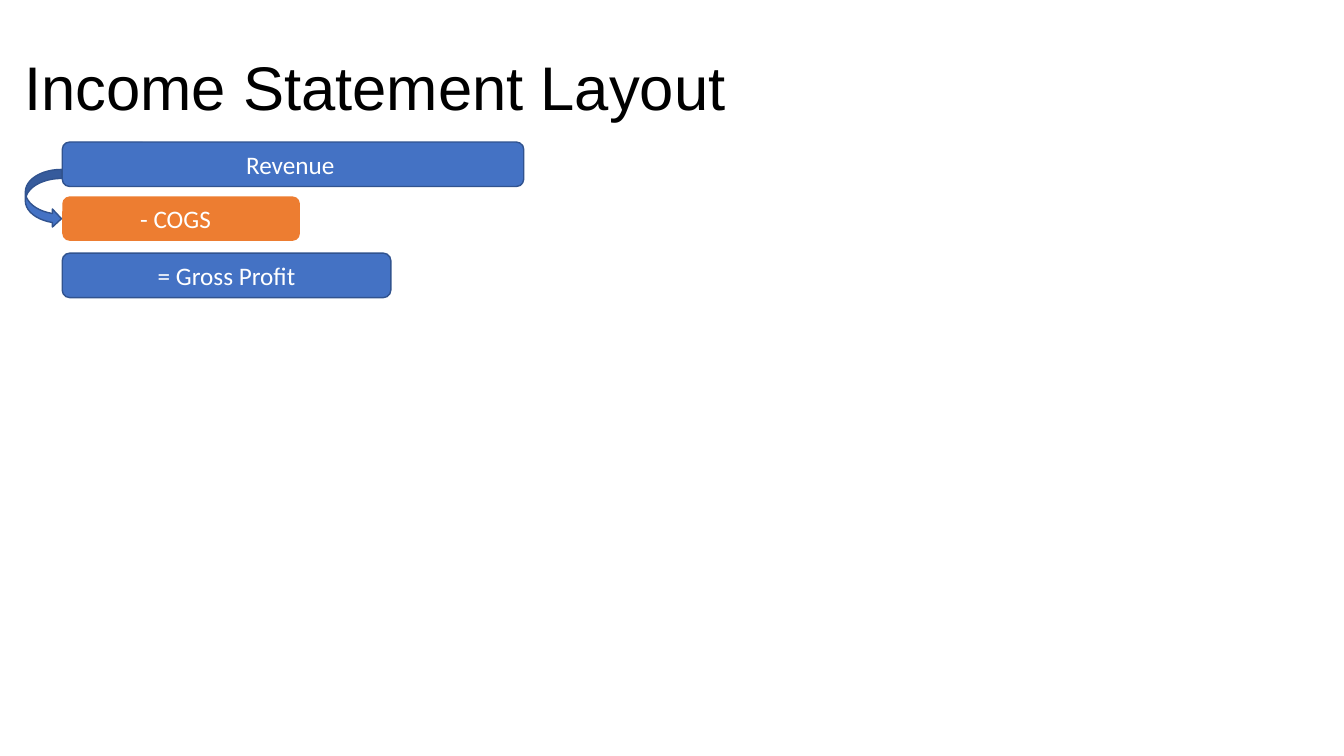
from pptx import Presentation
from pptx.dml.color import RGBColor
from pptx.enum.shapes import MSO_SHAPE
from pptx.enum.text import MSO_ANCHOR, PP_ALIGN
from pptx.util import Cm, Pt

ROUNDED = MSO_SHAPE.ROUNDED_RECTANGLE
CURVED_ARROW = MSO_SHAPE.CURVED_RIGHT_ARROW
MIDDLE = MSO_ANCHOR.MIDDLE
LEFT, CENTER = PP_ALIGN.LEFT, PP_ALIGN.CENTER

THEME = {
    "blue": RGBColor(0x44, 0x72, 0xC4),
    "orange": RGBColor(0xED, 0x7D, 0x31),
    "outline": RGBColor(0x31, 0x53, 0x8F),
    "title": {"name": "Arial", "size": Pt(44), "color": RGBColor(0, 0, 0)},
    "label": {"name": "Calibri", "size": Pt(18), "color": RGBColor(255, 255, 255)},
}


def write(sp, text, style, align, pad=0):
    tf = sp.text_frame
    frame = {
        "word_wrap": True,
        "vertical_anchor": MIDDLE,
        "margin_left": Cm(0.25),
        "margin_right": Cm(0.25 + pad),
        "margin_top": Cm(0.13),
        "margin_bottom": Cm(0.13),
    }
    for key, value in frame.items():
        setattr(tf, key, value)
    p = tf.paragraphs[0]
    p.alignment = align
    r = p.add_run()
    r.text = text
    for key, value in THEME[style].items():
        if key == "color":
            r.font.color.rgb = value
        else:
            setattr(r.font, key, value)
    return p


def add_block(s, kind, box, fill, outlined):
    sp = s.shapes.add_shape(kind, *(Cm(v) for v in box))
    sp.shadow.inherit = False
    sp.fill.solid()
    sp.fill.fore_color.rgb = THEME[fill]
    if outlined:
        sp.line.color.rgb = THEME["outline"]
        sp.line.width = Pt(1)
    else:
        sp.line.fill.background()
    return sp


prs = Presentation()
prs.slide_width, prs.slide_height = Cm(33.87), Cm(19.05)
s = prs.slides.add_slide(prs.slide_layouts[6])

title = s.shapes.add_textbox(Cm(0.36), Cm(1.02), Cm(33.12), Cm(2.54))
write(title, "Income Statement Layout", "title", LEFT).line_spacing = 0.9

bars = [
    ("Revenue", 3.58, 11.63, "blue", True, 0.14),
    ("- COGS", 4.95, 5.99, "orange", False, 0.28),
    ("= Gross Profit", 6.38, 8.28, "blue", True, 0),
]
for text, top, width, fill, outlined, pad in bars:
    bar = add_block(s, ROUNDED, (1.57, top, width, 1.12), fill, outlined)
    write(bar, text, "label", CENTER, pad)

add_block(s, CURVED_ARROW, (0.64, 4.27, 0.91, 1.47), "blue", True)

prs.save("out.pptx")
